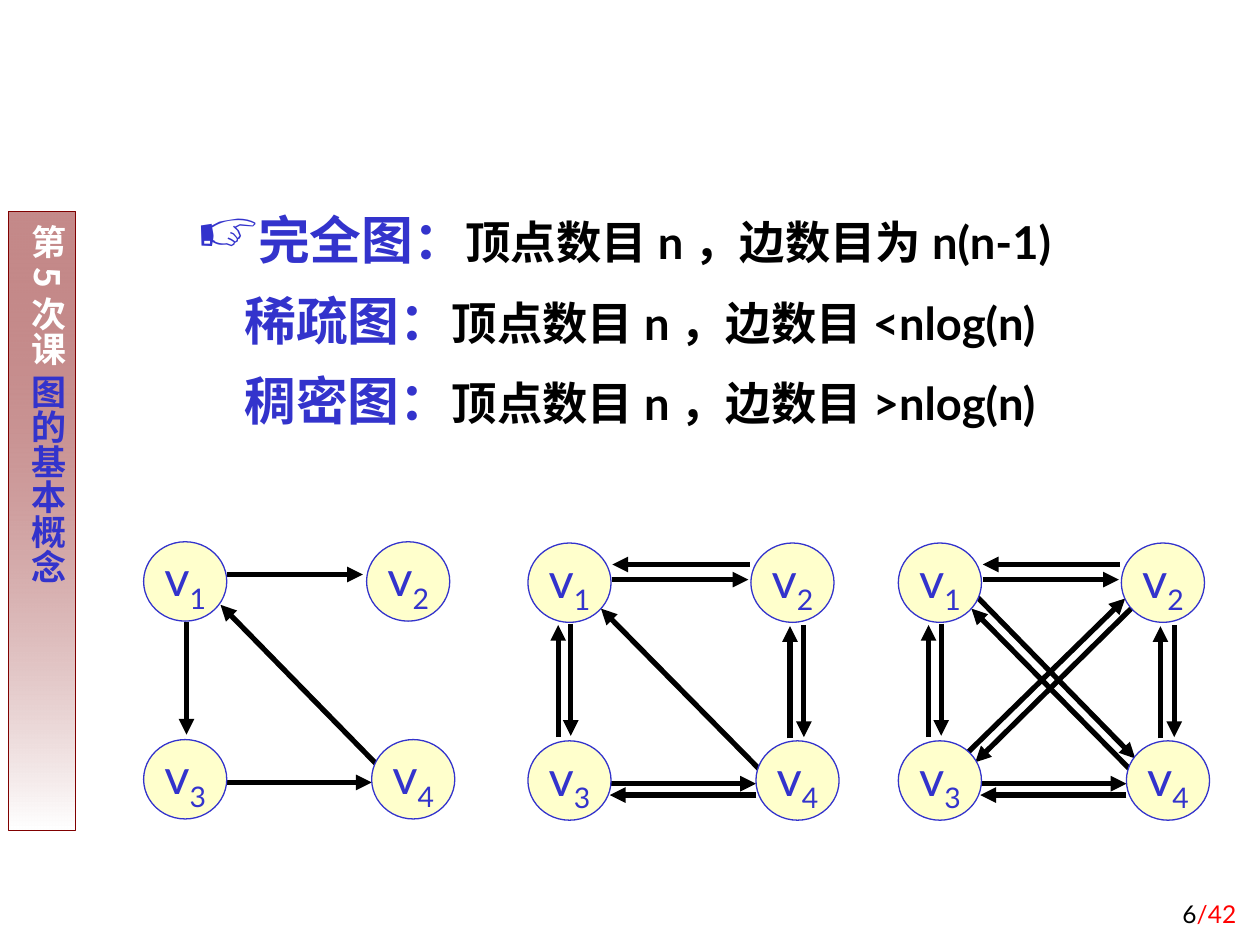
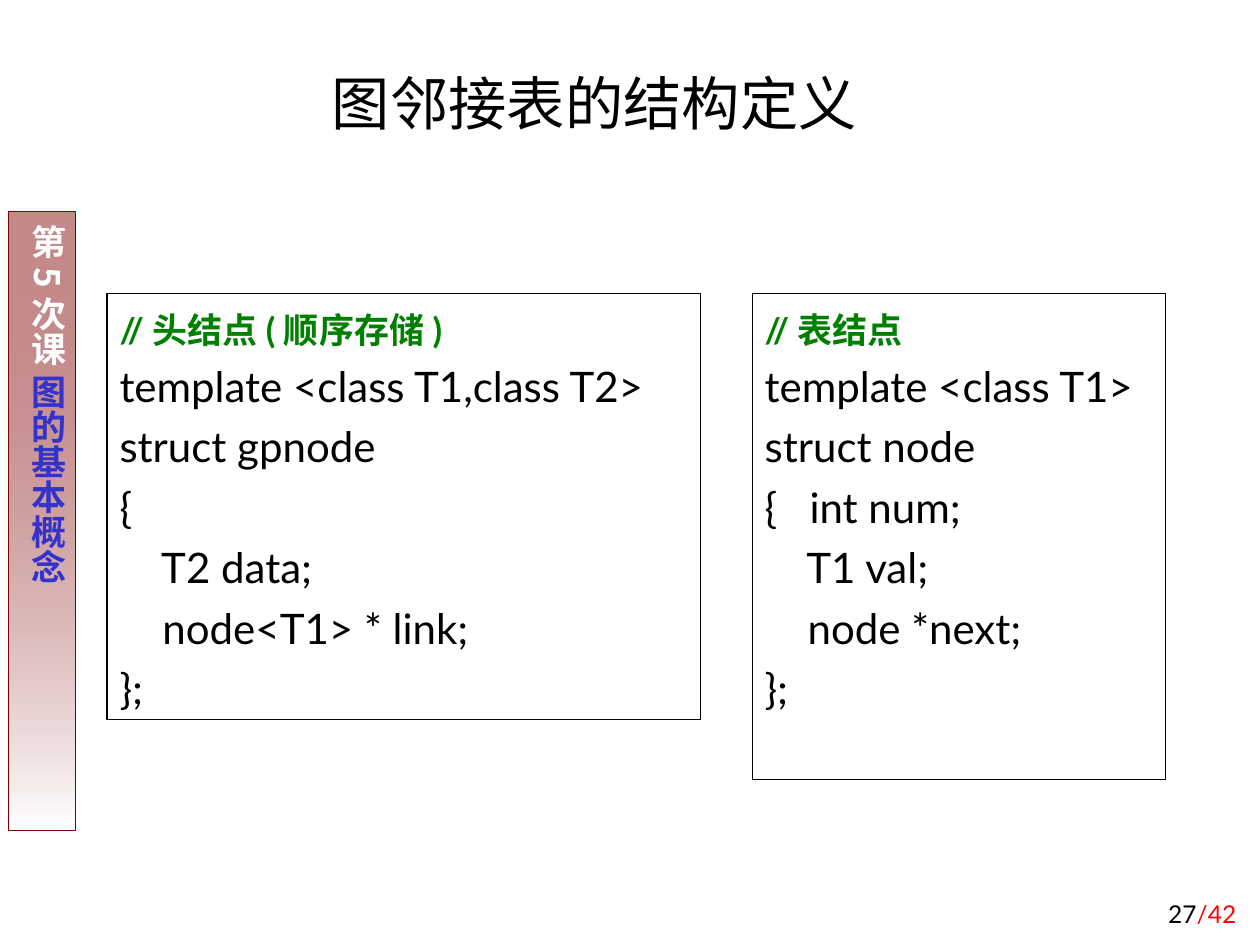
from dataclasses import dataclass, field
from typing import Any, NamedTuple

from lxml.etree import SubElement
from pptx import Presentation
from pptx.dml.color import RGBColor
from pptx.enum.shapes import MSO_CONNECTOR, MSO_SHAPE
from pptx.enum.text import MSO_ANCHOR, PP_ALIGN
from pptx.oxml.ns import qn
from pptx.util import Pt

EMU_PER_PX = 9144


def px(length: int) -> int:
    return length * EMU_PER_PX


@dataclass(frozen=True)
class Theme:
    black: str = "000000"
    white: str = "FFFFFF"
    blue: str = "3333CC"
    red: str = "FF0000"
    green: str = "008000"
    maroon: str = "800000"
    cream: str = "FFFFCC"
    latin: str = "Lato"
    asian: str = "Noto Sans CJK SC"
    title_size: float = 33.3
    term_size: float = 29.6
    meaning_size: float = 25.9
    node_size: float = 28
    code_size: float = 24
    label_size: float = 20
    footer_size: float = 14
    thin_line: float = 0.75
    arrow_line: float = 3


THEME = Theme()


class Box(NamedTuple):
    left: int
    top: int
    width: int
    height: int

    def emu(self) -> list[int]:
        return [px(length) for length in self]


class Point(NamedTuple):
    x: int
    y: int


class Edge(NamedTuple):
    start: Point
    end: Point


@dataclass(frozen=True)
class Run:
    text: str
    size: float
    color: str = THEME.black
    bold: bool = False
    font: str = THEME.latin
    baseline: int = 0


@dataclass(frozen=True)
class Line:
    runs: list[Run]
    format: dict[str, Any] = field(default_factory=dict)


@dataclass(frozen=True)
class Graph:
    origin: Point
    edges: dict[str, Edge]


@dataclass(frozen=True)
class CodeBox:
    box: Box
    heading: str
    code: list[str]


NODE_WIDTH, NODE_HEIGHT = 66, 63
NODES = [Point(0, 0), Point(177, 0), Point(0, 157), Point(181, 157)]

TRIANGLE = {
    "1-3": Edge(Point(34, 64), Point(34, 153)),
    "3-4": Edge(Point(65, 191), Point(181, 191)),
    "1-2": Edge(Point(67, 29), Point(175, 29)),
    "4-1": Edge(Point(195, 191), Point(58, 52)),
}
SPARSE = TRIANGLE | {
    "1-2": Edge(Point(66, 26), Point(174, 26)),
    "4-1": Edge(Point(198, 190), Point(61, 50)),
}
DENSE = TRIANGLE | {
    "3-1": Edge(Point(24, 154), Point(24, 65)),
    "4-3": Edge(Point(181, 200), Point(65, 200)),
    "2-1": Edge(Point(176, 17), Point(67, 17)),
    "2-4": Edge(Point(219, 65), Point(219, 154)),
    "4-2": Edge(Point(208, 155), Point(208, 66)),
}
COMPLETE = DENSE | {
    "2-3": Edge(Point(200, 37), Point(61, 174)),
    "3-2": Edge(Point(40, 181), Point(180, 44)),
    "1-4": Edge(Point(51, 31), Point(188, 171)),
}
GRAPHS = [
    Graph(Point(114, 430), SPARSE),
    Graph(Point(419, 431), DENSE),
    Graph(Point(713, 431), COMPLETE),
]

DEFINITIONS = [
    ("完全图：", "顶点数目n，边数目为n(n-1)"),
    ("稀疏图：", "顶点数目n，边数目<nlog(n)"),
    ("稠密图：", "顶点数目n，边数目>nlog(n)"),
]

CODE_BOXES = [
    CodeBox(Box(597, 233, 328, 386), "//表结点", [
        "template <class T1>",
        "struct node",
        "{   int num;",
        "    T1 val;",
        "    node *next;",
        "};",
    ]),
    CodeBox(Box(85, 233, 471, 338), "//头结点(顺序存储)", [
        "template <class T1,class T2>",
        "struct gpnode",
        "{",
        "    T2 data;",
        "    node<T1> * link;",
        "};",
    ]),
]


def set_all(target: Any, values: dict[str, Any]) -> None:
    for name, value in values.items():
        setattr(target, name, value)


def rgb(color: str) -> RGBColor:
    return RGBColor.from_string(color)


def add_run(paragraph: Any, run: Run) -> None:
    text_run = paragraph.add_run()
    text_run.text = run.text
    set_all(text_run.font, {"size": Pt(run.size), "bold": run.bold, "name": run.font})
    text_run.font.color.rgb = rgb(run.color)
    properties = text_run.font._element
    SubElement(properties, qn("a:ea")).set("typeface", THEME.asian)
    if run.baseline:
        properties.set("baseline", str(run.baseline))


def write(shape: Any, lines: list[Line], **frame_format: Any) -> None:
    frame = shape.text_frame
    set_all(frame, {"word_wrap": True, "vertical_anchor": MSO_ANCHOR.TOP} | frame_format)
    for index, line in enumerate(lines):
        paragraph = frame.add_paragraph() if index else frame.paragraphs[0]
        set_all(paragraph, {"alignment": PP_ALIGN.LEFT} | line.format)
        for run in line.runs:
            add_run(paragraph, run)


def add_outlined(shapes: Any, kind: MSO_SHAPE, box: Box, line: str) -> Any:
    shape = shapes.add_shape(kind, *box.emu())
    shape.shadow.inherit = False
    shape.fill.background()
    shape.line.color.rgb = rgb(line)
    shape.line.width = Pt(THEME.thin_line)
    return shape


def add_side_band(slide: Any) -> None:
    band = add_outlined(slide.shapes, MSO_SHAPE.RECTANGLE, Box(7, 168, 53, 491), THEME.maroon)
    band.fill.gradient()
    band.fill.gradient_angle = 270
    for stop, color in zip(band.fill.gradient_stops, (THEME.maroon, THEME.white)):
        stop.color.rgb = rgb(color)
    first_color = next(band._element.spPr.iter(qn("a:srgbClr")))
    SubElement(first_color, qn("a:alpha")).set("val", "46000")
    runs = [
        Run(text, THEME.label_size, color, True, THEME.asian)
        for text, color in (("第5次课 ", THEME.white), ("图的基本概念", THEME.blue))
    ]
    write(band, [Line(runs, {"alignment": PP_ALIGN.CENTER})],
          margin_left=px(5), margin_right=px(5), margin_top=px(10), margin_bottom=px(10))
    band.text_frame._txBody.bodyPr.set("vert", "eaVert")


def add_page_number(slide: Any, number: int) -> None:
    footer = slide.shapes.add_textbox(*Box(783, 692, 208, 50).emu())
    runs = [Run(str(number), THEME.footer_size), Run("/42", THEME.footer_size, THEME.red)]
    write(footer, [Line(runs, {"alignment": PP_ALIGN.RIGHT})], vertical_anchor=MSO_ANCHOR.BOTTOM)


def add_base_slide(presentation: Any, number: int) -> Any:
    slide = presentation.slides.add_slide(presentation.slide_layouts[6])
    add_side_band(slide)
    add_page_number(slide, number)
    return slide


def add_definitions(slide: Any) -> None:
    text_box = slide.shapes.add_textbox(*Box(146, 155, 768, 244).emu())
    lines = [
        Line(
            [Run(term, THEME.term_size, THEME.blue, True),
             Run(meaning, THEME.meaning_size, bold=True)],
            {"line_spacing": 1.1, "space_before": Pt(7 if index else 0)},
        )
        for index, (term, meaning) in enumerate(DEFINITIONS)
    ]
    write(text_box, lines)
    for index, paragraph in enumerate(text_box.text_frame.paragraphs):
        properties = paragraph._p.get_or_add_pPr()
        properties.set("marL", str(px(38)))
        properties.set("indent", str(0 if index else -px(38)))
        if index == 0:
            bullet_color = SubElement(properties, qn("a:buClr"))
            SubElement(bullet_color, qn("a:srgbClr")).set("val", THEME.blue)
            SubElement(properties, qn("a:buSzPct")).set("val", "120000")
            SubElement(properties, qn("a:buChar")).set("char", "☞")


def add_edge(shapes: Any, origin: Point, edge: Edge) -> None:
    ends = [px(base + offset) for point in edge for base, offset in zip(origin, point)]
    connector = shapes.add_connector(MSO_CONNECTOR.STRAIGHT, *ends)
    connector.line.color.rgb = rgb(THEME.black)
    connector.line.width = Pt(THEME.arrow_line)
    properties = connector._element.spPr
    SubElement(properties.find(qn("a:ln")), qn("a:tailEnd")).set("type", "triangle")
    SubElement(properties, qn("a:effectLst"))


def add_node(shapes: Any, origin: Point, offset: Point, number: int) -> None:
    box = Box(origin.x + offset.x, origin.y + offset.y, NODE_WIDTH, NODE_HEIGHT)
    node = add_outlined(shapes, MSO_SHAPE.OVAL, box, THEME.blue)
    node.fill.solid()
    node.fill.fore_color.rgb = rgb(THEME.cream)
    runs = [
        Run("v", THEME.node_size, THEME.blue),
        Run(str(number), THEME.node_size, THEME.blue, baseline=-25000),
    ]
    write(node, [Line(runs, {"alignment": PP_ALIGN.CENTER})],
          word_wrap=False, vertical_anchor=MSO_ANCHOR.MIDDLE)


def add_graph(slide: Any, graph: Graph) -> None:
    shapes = slide.shapes.add_group_shape().shapes
    for edge in graph.edges.values():
        add_edge(shapes, graph.origin, edge)
    for number, offset in enumerate(NODES, 1):
        add_node(shapes, graph.origin, offset, number)


def add_code_box(slide: Any, code_box: CodeBox) -> None:
    frame = add_outlined(slide.shapes, MSO_SHAPE.RECTANGLE, code_box.box, THEME.black)
    runs = [Run(code_box.heading, THEME.label_size, THEME.green, True)]
    runs += [Run(code, THEME.code_size) for code in code_box.code]
    write(frame, [Line([run], {"line_spacing": 1.2}) for run in runs])


def main() -> None:
    presentation = Presentation()
    set_all(presentation, {"slide_width": px(1000), "slide_height": px(750)})

    graph_slide = add_base_slide(presentation, 6)
    add_definitions(graph_slide)
    for graph in GRAPHS:
        add_graph(graph_slide, graph)

    code_slide = add_base_slide(presentation, 27)
    title = code_slide.shapes.add_textbox(*Box(169, 44, 606, 70).emu())
    title_line = Line([Run("图邻接表的结构定义", THEME.title_size)], {"alignment": PP_ALIGN.CENTER})
    write(title, [title_line], vertical_anchor=MSO_ANCHOR.BOTTOM)
    for code_box in CODE_BOXES:
        add_code_box(code_slide, code_box)

    presentation.save("out.pptx")


if __name__ == "__main__":
    main()
